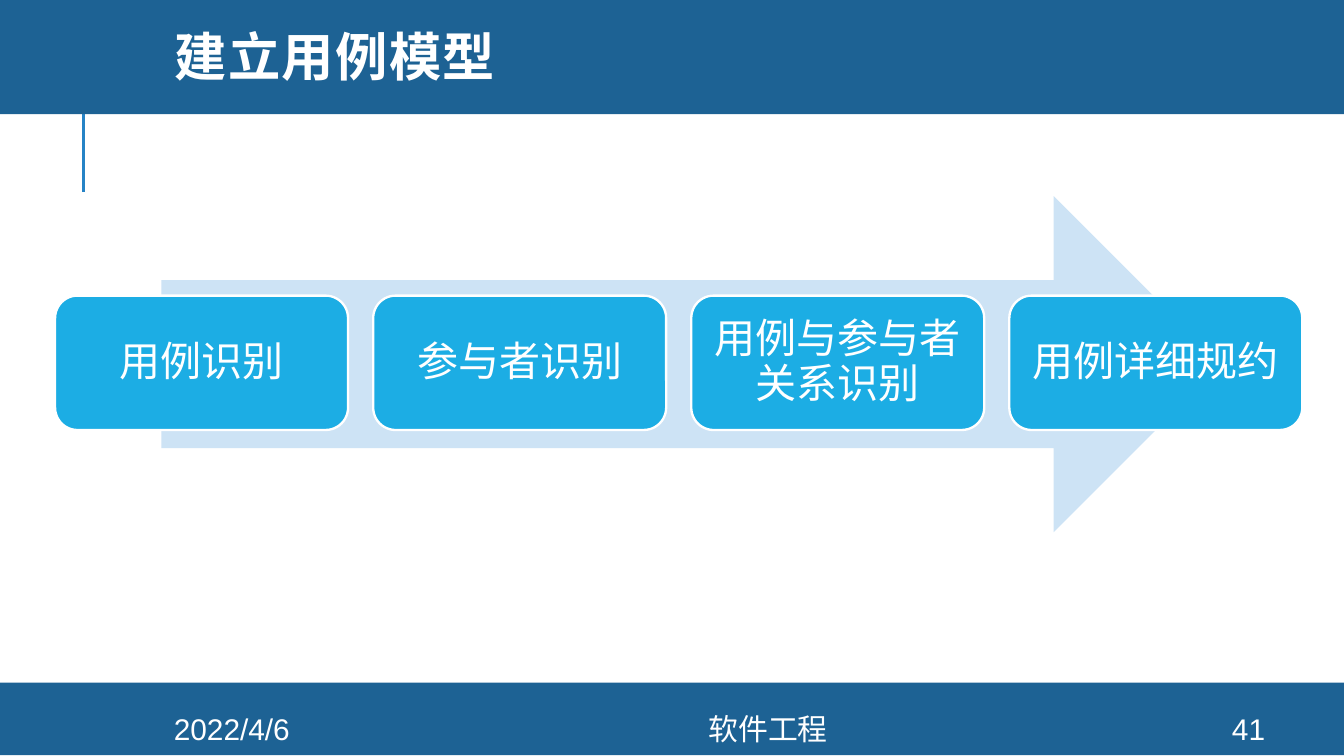
from lxml import etree
from pptx import Presentation
from pptx.dml.color import RGBColor
from pptx.enum.shapes import MSO_CONNECTOR, MSO_SHAPE
from pptx.enum.text import MSO_ANCHOR, PP_ALIGN
from pptx.oxml.ns import qn
from pptx.util import Inches, Pt

TITLE = "建立用例模型"
STEPS = ["用例识别", "参与者识别", "用例与参与者关系识别", "用例详细规约"]
FOOTERS = [("2022/4/6", 0.84, 1.77), ("软件工程", 2.61, 6.21), ("41", 8.89, 0.8)]
BANDS = [(5.08, 0.54), (-0.03, 0.88)]
COLORS = {"band": "1D6294", "rule": "2683C6", "arrow": "CDE3F5",
          "step": "1CADE4", "white": "FFFFFF"}
SLIDE_WIDTH = 10
SLIDE_HEIGHT = SLIDE_WIDTH * 9 / 16
FIRST_LEFT, LAST_LEFT = 0.41, 7.51
STEP_TOP, STEP_WIDTH, STEP_HEIGHT = 2.2, 2.18, 1


def color(name):
    return RGBColor.from_string(COLORS[name])


def add_block(slide, kind, box, fill, line=None):
    shape = slide.shapes.add_shape(kind, *map(Inches, box))
    shape.shadow.inherit = False
    shape.fill.solid()
    shape.fill.fore_color.rgb = color(fill)
    if line:
        shape.line.color.rgb = color(line)
        shape.line.width = Pt(1.25)
    else:
        shape.line.fill.background()
    return shape


def write(shape, text, size, font="Arial", align=PP_ALIGN.CENTER, spacing=None,
          margins=(0.1, 0.05)):
    frame = shape.text_frame
    frame.word_wrap = True
    frame.vertical_anchor = MSO_ANCHOR.MIDDLE
    frame.margin_left = frame.margin_right = Inches(margins[0])
    frame.margin_top = frame.margin_bottom = Inches(margins[1])
    frame.text = text
    paragraph = frame.paragraphs[0]
    paragraph.alignment = align
    paragraph.line_spacing = spacing
    run = paragraph.runs[0]
    run.font.name = font
    run.font.size = Pt(size)
    run.font.color.rgb = color("white")
    return run


def add_rule(slide):
    rule = slide.shapes.add_connector(
        MSO_CONNECTOR.STRAIGHT, *map(Inches, (0.62, 1.43, 0.62, 0.68)))
    rule.line.color.rgb = color("rule")
    rule.line.width = Pt(1.5)
    etree.SubElement(rule._element.spPr, qn("a:effectLst"))


def add_title(slide):
    box = slide.shapes.add_textbox(*map(Inches, (1.2, 0, 8.49, 0.91)))
    run = write(box, TITLE, 28, "Montserrat", PP_ALIGN.LEFT, 0.8)
    run.font.bold = True
    run._r.get_or_add_rPr().set("spc", "80")


def main():
    presentation = Presentation()
    presentation.slide_width = Inches(SLIDE_WIDTH)
    presentation.slide_height = Inches(SLIDE_HEIGHT)
    slide = presentation.slides.add_slide(presentation.slide_layouts[6])

    add_rule(slide)
    for top, height in BANDS:
        add_block(slide, MSO_SHAPE.RECTANGLE, (0, top, SLIDE_WIDTH, height), "band")
    add_title(slide)
    for text, left, width in FOOTERS:
        box = slide.shapes.add_textbox(*map(Inches, (left, 5.31, width, 0.23)))
        write(box, text, 16)

    add_block(slide, MSO_SHAPE.RIGHT_ARROW, (1.2, 1.46, 7.89, 2.5), "arrow")
    pitch = (LAST_LEFT - FIRST_LEFT) / (len(STEPS) - 1)
    for index, text in enumerate(STEPS):
        left = FIRST_LEFT + index * pitch
        step = add_block(slide, MSO_SHAPE.ROUNDED_RECTANGLE,
                         (left, STEP_TOP, STEP_WIDTH, STEP_HEIGHT), "step", "white")
        write(step, text, 22, spacing=0.9, margins=(0.09, 0.09))

    presentation.save("out.pptx")


if __name__ == "__main__":
    main()
